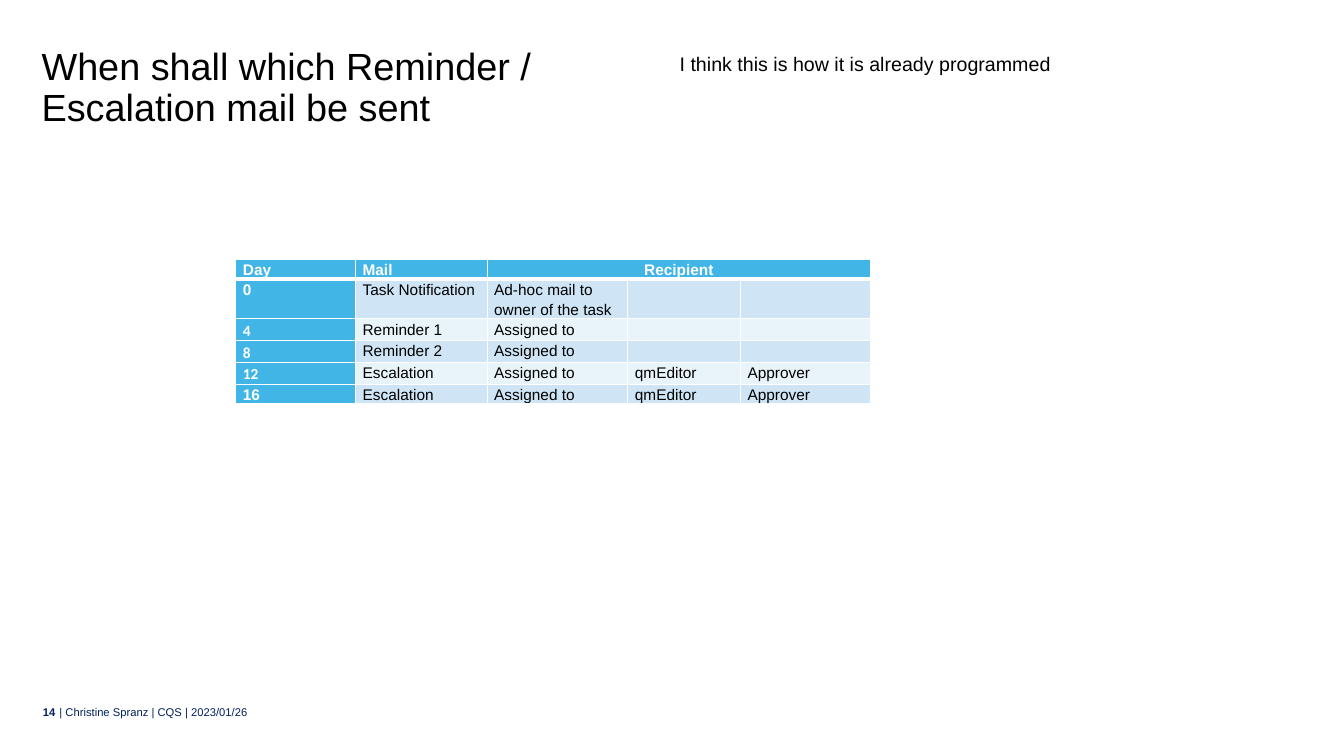
from lxml import etree
from pptx import Presentation
from pptx.dml.color import RGBColor
from pptx.enum.text import MSO_ANCHOR, MSO_AUTO_SIZE, PP_ALIGN
from pptx.oxml.ns import qn
from pptx.util import Pt

LEFT, CENTER, RIGHT = PP_ALIGN.LEFT, PP_ALIGN.CENTER, PP_ALIGN.RIGHT
TOP, MIDDLE = MSO_ANCHOR.TOP, MSO_ANCHOR.MIDDLE
NO_AUTOFIT = MSO_AUTO_SIZE.NONE

BLACK = RGBColor(0x00, 0x00, 0x00)
WHITE = RGBColor(0xFF, 0xFF, 0xFF)
NAVY = RGBColor(0x00, 0x20, 0x5B)
BLUE = RGBColor(0x41, 0xB6, 0xE6)
BAND_DARK = RGBColor(0xCF, 0xE5, 0xF5)
BAND_LIGHT = RGBColor(0xE9, 0xF3, 0xFA)

SCHEDULE = [
    ["Day", "Mail", "Recipient", "", ""],
    ["0", "Task Notification", "Ad-hoc mail to owner of the task", "", ""],
    ["4", "Reminder 1", "Assigned to", "", ""],
    ["8", "Reminder 2", "Assigned to", "", ""],
    ["12", "Escalation", "Assigned to", "qmEditor", "Approver"],
    ["16", "Escalation", "Assigned to", "qmEditor", "Approver"],
]
COLUMN_WIDTHS = [85.5, 94, 100.5, 80.5, 93]
ROW_HEIGHTS = [14, 28, 15.5, 15.5, 15.5, 14]
CALIBRI_DAYS = {"4", "8", "12"}


class SlideBuilder:
    font = "Arial"
    table_size = 11

    def __init__(self, page):
        self.page = page

    def set_text(self, frame, text, size, color, bold=False, align=LEFT,
                 spacing=1.0, after=0, font=None):
        frame.text = text
        para = frame.paragraphs[0]
        para.alignment = align
        para.line_spacing = spacing
        para.space_before = Pt(0)
        para.space_after = Pt(after)
        for span in para.runs:
            span.font.name = font or self.font
            span.font.size = Pt(size)
            span.font.bold = bold
            span.font.color.rgb = color
        return para

    def place(self, box, left, top, width, height, insets, anchor):
        box.left, box.top = Pt(left), Pt(top)
        box.width, box.height = Pt(width), Pt(height)
        frame = box.text_frame
        frame.word_wrap = True
        frame.auto_size = NO_AUTOFIT
        frame.vertical_anchor = anchor
        frame.margin_left = frame.margin_top = 0
        frame.margin_right, frame.margin_bottom = map(Pt, insets)
        return frame

    def title(self, text, left, top, width, height):
        frame = self.place(self.page.shapes.title, left, top, width, height, (7.2, 0), TOP)
        self.set_text(frame, text, 27, BLACK, spacing=0.9)

    def body(self, text, left, top, width, height):
        frame = self.place(self.page.placeholders[1], left, top, width, height, (7.2, 3.6), TOP)
        para = self.set_text(frame, text, 14, BLACK, spacing=1.2)
        properties = para._p.get_or_add_pPr()
        properties.set("marL", "0")
        properties.set("indent", "0")
        etree.SubElement(properties, qn("a:buNone"))

    def footer(self, text, left, width, bold=False, align=LEFT):
        box = self.page.shapes.add_textbox(0, 0, 0, 0)
        frame = self.place(box, left, 499.7, width, 18, (0, 0), MIDDLE)
        self.set_text(frame, text, 8, NAVY, bold, align)

    def border(self, cell, side, width):
        line = etree.SubElement(cell._tc.get_or_add_tcPr(), qn(f"a:ln{side}"), w=str(Pt(width)))
        fill = etree.SubElement(line, qn("a:solidFill"))
        etree.SubElement(fill, qn("a:srgbClr"), val=str(WHITE))

    def cell(self, cell, text, row, column):
        accent = row == 0 or column == 0
        cell.margin_left = cell.margin_right = Pt(5)
        cell.margin_top = cell.margin_bottom = 0
        para = self.set_text(
            cell.text_frame, text, self.table_size, WHITE if accent else BLACK, accent,
            CENTER if text == "Recipient" else LEFT, 1.15, 10,
            "Calibri" if text in CALIBRI_DAYS else self.font)
        if not text:
            etree.SubElement(para._p, qn("a:endParaRPr"), sz=str(self.table_size * 100))
        self.border(cell, "L", 1)
        self.border(cell, "R", 1)
        self.border(cell, "T", 3 if row == 1 else 1)
        self.border(cell, "B", 3 if row == 0 else 1)
        cell.fill.solid()
        band = BAND_DARK if row % 2 else BAND_LIGHT
        cell.fill.fore_color.rgb = BLUE if accent else band

    def table(self, rows, left, top, widths, heights):
        table = self.page.shapes.add_table(
            len(rows), len(widths), Pt(left), Pt(top), Pt(sum(widths)), Pt(sum(heights))).table
        for column, width in zip(table.columns, widths):
            column.width = Pt(width)
        for line, height in zip(table.rows, heights):
            line.height = Pt(height)
        for row, texts in enumerate(rows):
            for column, text in enumerate(texts):
                self.cell(table.cell(row, column), text, row, column)
        table.cell(0, 2).merge(table.cell(0, len(widths) - 1))


def main():
    deck = Presentation()
    deck.slide_width, deck.slide_height = Pt(960), Pt(540)
    slide = SlideBuilder(deck.slides.add_slide(deck.slide_layouts[1]))
    slide.footer("| Christine Spranz | CQS | 2023/01/26", 42.5, 590)
    slide.body("I think this is how it is already programmed", 485.5, 34, 445, 66)
    slide.title("When shall which Reminder / Escalation mail be sent", 29.7, 34, 444, 66)
    slide.footer("14", 22.3, 17.3, bold=True, align=RIGHT)
    slide.table(SCHEDULE, 168.5, 185.3, COLUMN_WIDTHS, ROW_HEIGHTS)
    deck.save("out.pptx")


if __name__ == "__main__":
    main()
